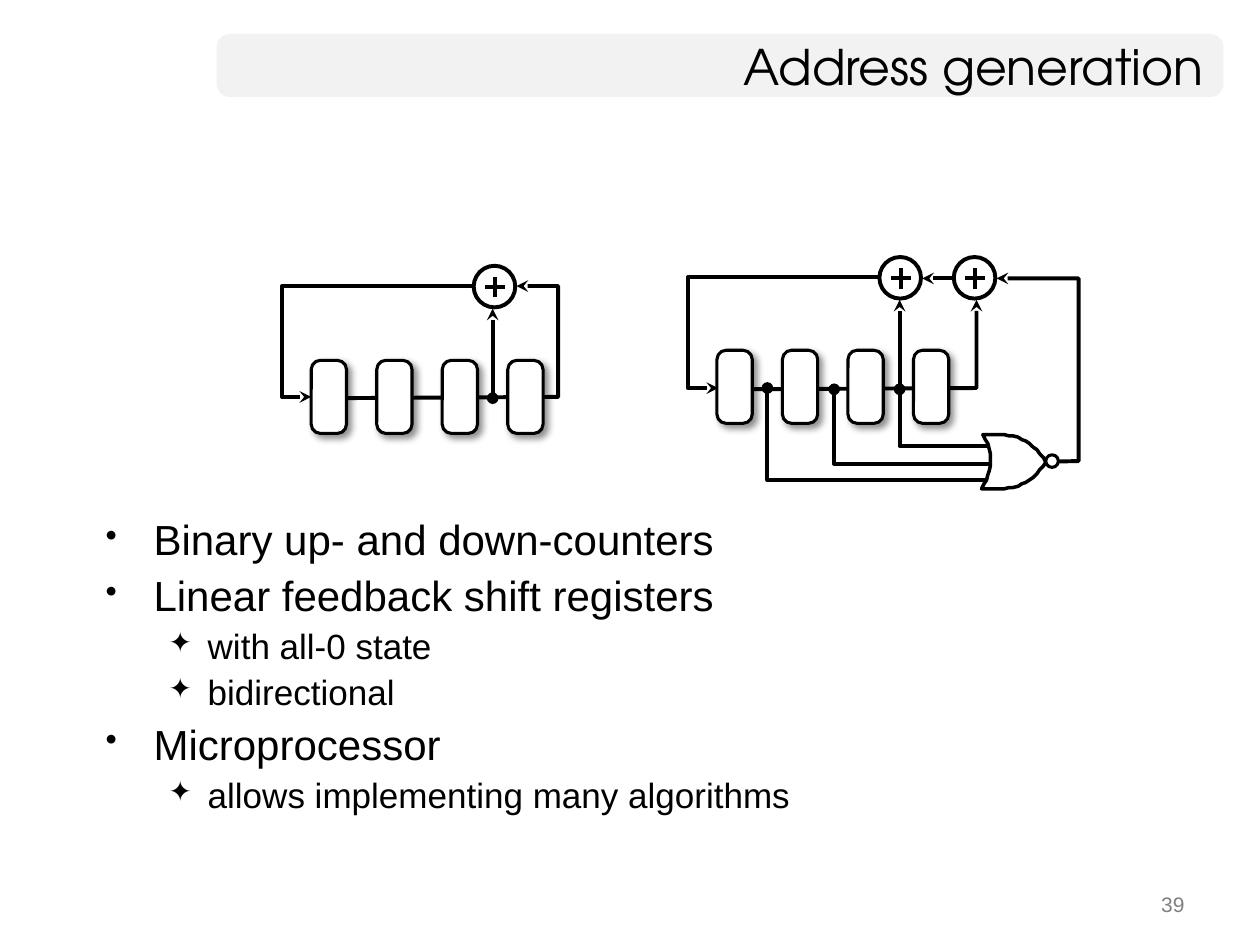
from lxml import etree
from pptx import Presentation, util as u
from pptx.dml.color import RGBColor
from pptx.enum import shapes, text
from pptx.oxml.ns import qn

PX = 9144  # 100 px to the inch
color = RGBColor.from_string


def paint(part, fill, line=None, width=2.25):
    part.shadow.inherit = False
    if fill:
        part.fill.solid()
        part.fill.fore_color.rgb = color(fill)
    else:
        part.fill.background()
    if line:
        part.line.color.rgb = color(line)
        part.line.width = u.Pt(width)
    else:
        part.line.fill.background()


def wire(canvas, points, head=None, tail=None):
    if len(points) == 2:
        (x1, y1), (x2, y2) = points
        run = canvas.add_connector(shapes.MSO_CONNECTOR.STRAIGHT,
                                   x1 * PX, y1 * PX, x2 * PX, y2 * PX)
        run.line.color.rgb = color("000000")
        run.line.width = u.Pt(2.25)
        etree.SubElement(run._element.spPr, qn("a:effectLst"))
    else:
        builder = canvas.build_freeform(*points[0], scale=PX)
        builder.add_line_segments(points[1:], close=False)
        run = builder.convert_to_shape()
        paint(run, None, "000000")
    ln = run._element.spPr.find(qn("a:ln"))
    for tag, kind in (("a:headEnd", head), ("a:tailEnd", tail)):
        if kind:
            etree.SubElement(ln, qn(tag), type=kind)


deck = Presentation()
deck.slide_width, deck.slide_height = 1000 * PX, 750 * PX
slide = deck.slides.add_slide(deck.slide_layouts[6])

# Title bar
bar = slide.shapes.add_shape(shapes.MSO_SHAPE.ROUNDED_RECTANGLE,
                             172 * PX, 27 * PX, 799 * PX, 50 * PX)
bar.adjustments[0] = 0.21
paint(bar, "F2F2F2")

# Page number and title
right_aligned = [
    ((717, 700, 233, 35), "39", 12, "Arial", "808080"),
    ((172, 27, 793, 50), "Address generation", 28, "TeX Gyre Adventor", "000000"),
]
for place, words, size, face, ink in right_aligned:
    frame = slide.shapes.add_textbox(*(n * PX for n in place)).text_frame
    frame.word_wrap = True
    frame.vertical_anchor = text.MSO_ANCHOR.MIDDLE
    line = frame.paragraphs[0]
    line.alignment = text.PP_ALIGN.RIGHT
    run = line.add_run()
    run.text = words
    run.font.size, run.font.name = u.Pt(size), face
    run.font.color.rgb = color(ink)

# Bullet list
levels = [  # bullet, indent, hanging, size, space before
    ("•", 38, 38, 24, 6),
    ("✦", 81, 31, 20, 5),
]
topics = [
    (0, "Binary up- and down-counters"),
    (0, "Linear feedback shift registers"),
    (1, "with all-0 state"),
    (1, "bidirectional"),
    (0, "Microprocessor"),
    (1, "allows implementing many algorithms"),
]
body = slide.shapes.add_textbox(74 * PX, 407 * PX, 759 * PX, 277 * PX).text_frame
body.word_wrap = True
for i, (level, words) in enumerate(topics):
    bullet, indent, hanging, size, gap = levels[level]
    item = body.paragraphs[0] if i == 0 else body.add_paragraph()
    item.level = level
    item.line_spacing = 0.9
    if i:
        item.space_before = u.Pt(gap)
    props = item._p.get_or_add_pPr()
    props.set("marL", str(indent * PX))
    props.set("indent", str(-hanging * PX))
    etree.SubElement(props, qn("a:buSzPct"), val="80000")
    etree.SubElement(props, qn("a:buChar"), char=bullet)
    run = item.add_run()
    run.text = words
    run.font.size, run.font.name = u.Pt(size), "Arial"
    run.font.color.rgb = color("000000")

# Shift registers: wires (points, head, tail), adder centres, first register
circuits = [
    {
        "wires": [
            ([(262, 316), (443, 315), (443, 227), (410, 227)], None, "stealth"),
            ([(380, 227), (224, 227), (224, 315), (247, 315)], None, "stealth"),
            ([(391, 316), (391, 245)], "oval", "stealth"),
        ],
        "adders": [(393, 228)],
        "registers": (247, 286),
    },
    {
        "wires": [
            ([(811, 367), (856, 366), (856, 221), (791, 221)], None, "stealth"),
            ([(776, 221), (732, 221)], None, "stealth"),
            ([(584, 309), (775, 308), (775, 238)], None, "stealth"),
            ([(703, 220), (546, 220), (546, 308), (570, 308)], None, "stealth"),
            ([(714, 309), (714, 238)], "oval", "stealth"),
            ([(714, 307), (714, 354), (790, 354)], None, None),
            ([(662, 309), (662, 368), (790, 368)], "oval", None),
            ([(609, 308), (609, 381), (790, 381)], "oval", None),
        ],
        "adders": [(715, 221), (774, 221)],
        "registers": (569, 278),
    },
]
for circuit in circuits:
    canvas = slide.shapes.add_group_shape().shapes
    for points, head, tail in circuit["wires"]:
        wire(canvas, points, head, tail)

    for x, y in circuit["adders"]:
        ring = canvas.add_shape(shapes.MSO_SHAPE.OVAL, (x - 17) * PX, (y - 17) * PX,
                                33 * PX, 33 * PX)
        paint(ring, "FFFFFF", "000000")
        wire(canvas, [(x, y - 8), (x, y + 8)])
        wire(canvas, [(x - 8, y), (x + 8, y)])

    left, top = circuit["registers"]
    for i in range(4):
        register = canvas.add_shape(shapes.MSO_SHAPE.ROUNDED_RECTANGLE,
                                    (left + 52 * i) * PX, top * PX, 28 * PX, 58 * PX)
        register.adjustments[0] = 0.26
        paint(register, "FFFFFF", "000000", 1.75)
        effects = register._element.spPr.find(qn("a:effectLst"))
        shadow = etree.SubElement(effects, qn("a:outerShdw"), blurRad=str(u.Pt(4)),
                                  dist=str(u.Pt(3)), dir="2700000", rotWithShape="0")
        shade = etree.SubElement(shadow, qn("a:srgbClr"), val="000000")
        etree.SubElement(shade, qn("a:alpha"), val="43000")

# NOR gate in the second circuit: each side is a curve (start, control, end)
sides = [
    ((793, 345), (817, 345), (830, 367)),
    ((830, 367), (817, 388), (793, 388)),
    ((779, 388), (793, 367), (780, 345)),
]
outline = []
for start, control, end in sides:
    for step in range(13):
        t = step / 12
        outline.append(tuple((1 - t) ** 2 * a + 2 * t * (1 - t) * b + t ** 2 * c
                             for a, b, c in zip(start, control, end)))
builder = canvas.build_freeform(*outline[0], scale=PX)
builder.add_line_segments(outline[1:], close=True)
paint(builder.convert_to_shape(), "FFFFFF", "000000", 2)
bubble = canvas.add_shape(shapes.MSO_SHAPE.FLOWCHART_CONNECTOR,
                          830 * PX, 361 * PX, 10 * PX, 10 * PX)
paint(bubble, "FFFFFF", "000000", 1.75)

deck.save("out.pptx")
